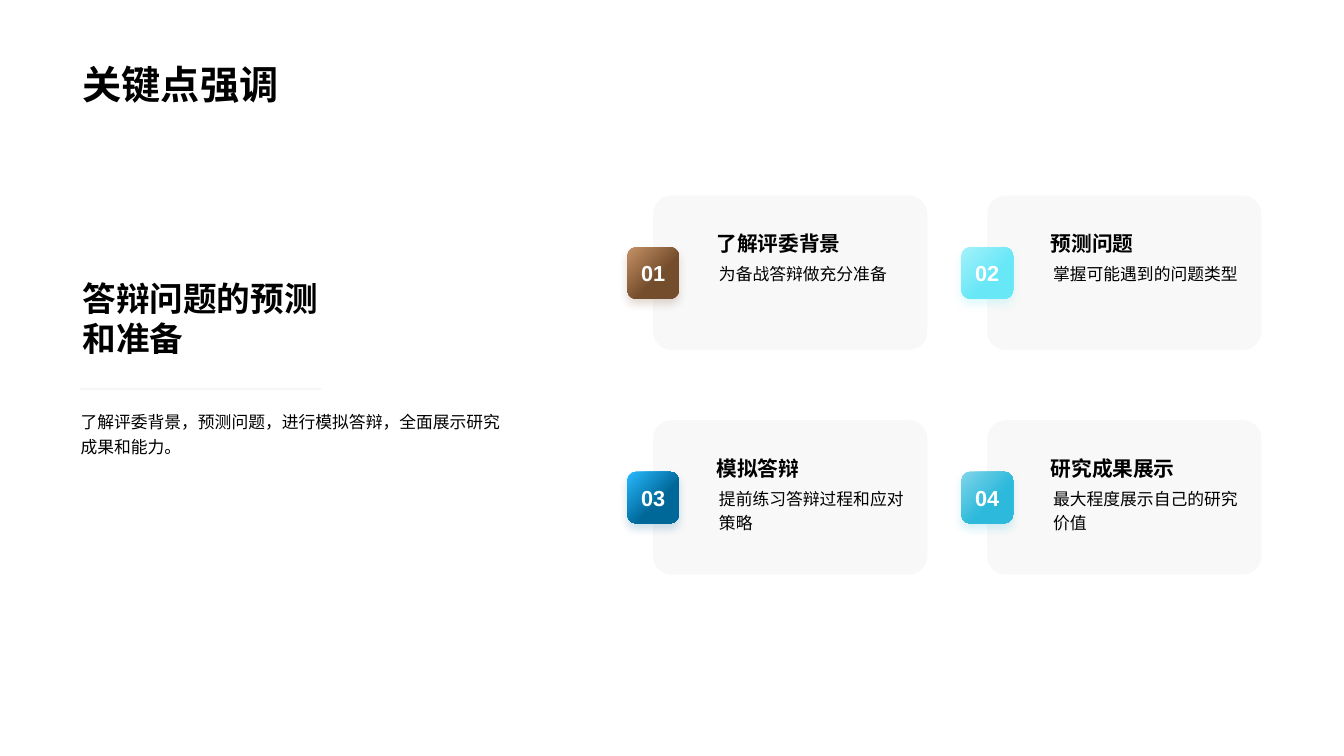
from lxml import etree
from pptx import Presentation
from pptx.dml.color import RGBColor
from pptx.enum.shapes import MSO_CONNECTOR, MSO_SHAPE
from pptx.enum.text import MSO_ANCHOR, MSO_AUTO_SIZE, PP_ALIGN
from pptx.oxml.ns import qn
from pptx.util import Cm, Pt

ROUND = MSO_SHAPE.ROUNDED_RECTANGLE
LINE = MSO_CONNECTOR.STRAIGHT
TOP, MID, LOW = MSO_ANCHOR.TOP, MSO_ANCHOR.MIDDLE, MSO_ANCHOR.BOTTOM
LEFT, CENTER = PP_ALIGN.LEFT, PP_ALIGN.CENTER
FONT = "Arial"

# Content
TITLE = "关键点强调"
HEAD = "答辩问题的预测和准备"
INTRO = "了解评委背景，预测问题，进行模拟答辩，全面展示研究成果和能力。"
CARDS = [
    ("了解评委背景", "为备战答辩做充分准备", "C59267", "744D2C"),
    ("预测问题", "掌握可能遇到的问题类型", "A4F1FA", "68E7F7"),
    ("模拟答辩", "提前练习答辩过程和应对策略", "29BAFF", "006899"),
    ("研究成果展示", "最大程度展示自己的研究价值", "80D5E9", "2CB9DB"),
]

# Card grid, in cm
COLS = 2
GRID_X, GRID_Y = 16.46, 4.93
STEP_X, STEP_Y = 8.42, 5.66
CARD_W, CARD_H = 6.91, 3.89
BADGE = 1.3


def rgb(code):
    return RGBColor.from_string(code)


def set_alpha(node, pct):
    """Give the colour inside an XML node an opacity in percent."""
    color = next(node.iter(qn("a:srgbClr")))
    etree.SubElement(color, qn("a:alpha"), val=str(pct * 1000))


def set_text(shape, text, size, bold=False, color="000000",
             anchor=TOP, align=LEFT, gap=1.0):
    frame = shape.text_frame
    frame.word_wrap = True
    frame.auto_size = MSO_AUTO_SIZE.NONE
    frame.vertical_anchor = anchor
    par = frame.paragraphs[0]
    par.text = text
    par.alignment = align
    par.line_spacing = gap
    par.font.name = FONT
    par.font.size = Pt(size)
    par.font.bold = bold
    par.font.color.rgb = rgb(color)


def add_text(slide, box, text, size, **style):
    shape = slide.shapes.add_textbox(*map(Cm, box))
    set_text(shape, text, size, **style)


def add_round(slide, box):
    shape = slide.shapes.add_shape(ROUND, *map(Cm, box))
    shape.line.fill.background()
    shape.shadow.inherit = False
    return shape


def add_panel(slide, x, y):
    panel = add_round(slide, (x, y, CARD_W, CARD_H))
    panel.adjustments[0] = 0.118
    panel.fill.solid()
    panel.fill.fore_color.rgb = rgb("808080")
    set_alpha(panel.fill._xPr.find(qn("a:solidFill")), 5)


def add_badge(slide, x, y, label, light, dark):
    badge = add_round(slide, (x, y, BADGE, BADGE))
    badge.fill.gradient()
    badge.fill.gradient_angle = 315
    stops = badge.fill.gradient_stops
    for stop, color, pos in zip(stops, (light, dark), (0, 0.6)):
        stop.color.rgb = rgb(color)
        stop.position = pos
    # Soft shadow straight below
    effects = badge._element.spPr.find(qn("a:effectLst"))
    shade = etree.SubElement(
        effects, qn("a:outerShdw"), blurRad=str(Pt(6)), dist=str(Pt(4)),
        dir="5400000", algn="t", rotWithShape="0")
    etree.SubElement(shade, qn("a:srgbClr"), val=dark)
    set_alpha(shade, 20)
    set_text(badge, label, 15.5, bold=True, color="FFFFFF",
             anchor=MID, align=CENTER)


def add_rule(slide, x1, x2, y):
    rule = slide.shapes.add_connector(LINE, Cm(x1), Cm(y), Cm(x2), Cm(y))
    rule.line.width = Pt(0.5)
    rule.line.color.rgb = rgb("808080")
    props = rule._element.spPr
    set_alpha(props.find(qn("a:ln")), 20)
    etree.SubElement(props, qn("a:effectLst"))


def main():
    deck = Presentation()
    deck.slide_width, deck.slide_height = Cm(33.87), Cm(19.05)
    slide = deck.slides.add_slide(deck.slide_layouts[5])

    # Title
    title = slide.shapes.title
    title.left, title.top = Cm(1.83), Cm(0)
    title.width, title.height = Cm(30.18), Cm(2.84)
    set_text(title, TITLE, 28, bold=True, anchor=LOW)

    # Left column
    add_text(slide, (1.83, 6.86, 7.26, 2.31), HEAD, 24, bold=True, anchor=MID)
    add_rule(slide, 2.01, 8.1, 9.8)
    add_text(slide, (1.78, 10.16, 11.48, 1.42), INTRO, 12, gap=1.2)

    # Cards
    for i, (head, body, light, dark) in enumerate(CARDS):
        row, col = divmod(i, COLS)
        x, y = GRID_X + col * STEP_X, GRID_Y + row * STEP_Y
        add_panel(slide, x, y)
        add_text(slide, (x + 1.35, y + 0.79, 5.49, 0.86), head, 14.8,
                 bold=True, anchor=LOW, gap=0.9)
        add_text(slide, (x + 1.41, y + 1.5, 5.49, 1.42), body, 12, gap=1.2)
        add_badge(slide, x - BADGE / 2, y + 1.3, f"{i + 1:02}", light, dark)

    deck.save("out.pptx")


if __name__ == "__main__":
    main()
